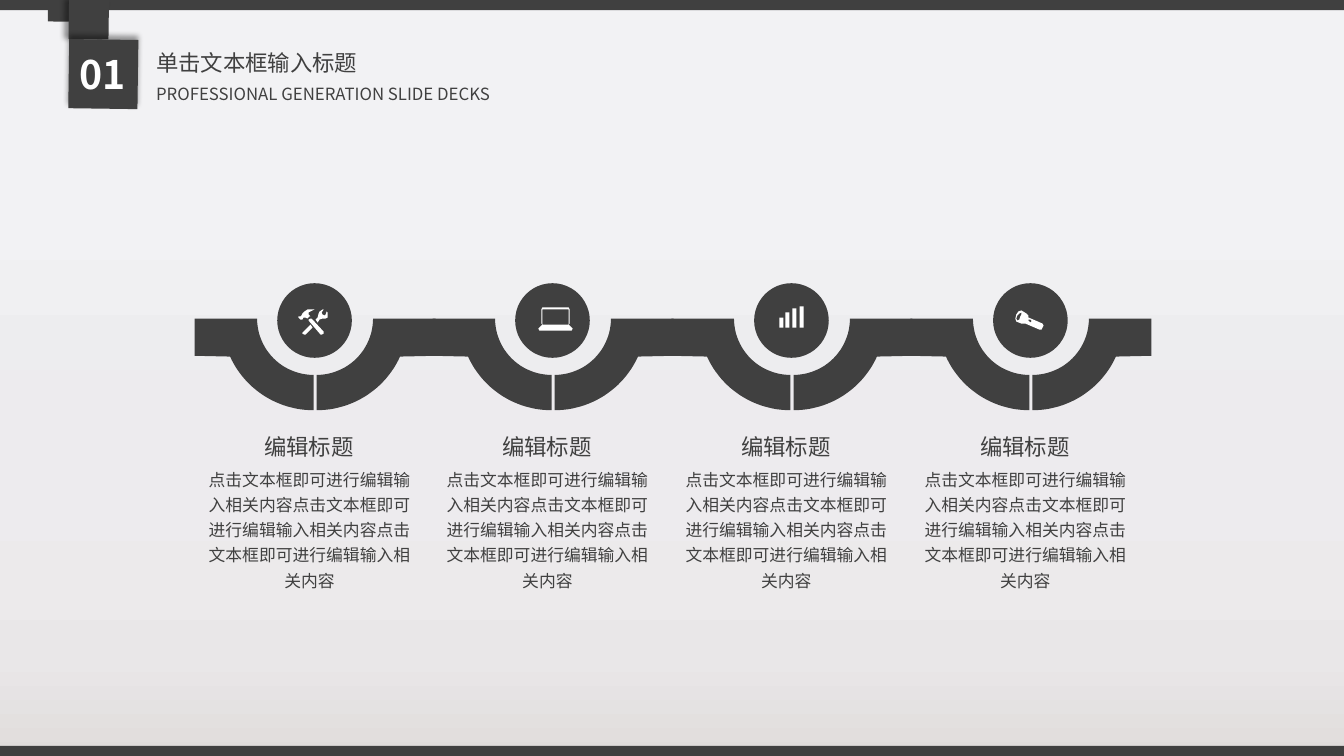
"""Builds a title header above a wavy band of four captioned icon stops."""
from math import cos, pi, sin

from lxml.etree import SubElement
from pptx import Presentation
from pptx.dml.color import RGBColor
from pptx.enum.shapes import MSO_SHAPE
from pptx.enum.text import MSO_AUTO_SIZE, PP_ALIGN
from pptx.oxml.ns import qn
from pptx.util import Pt

PX = 9144
FINE = 10
RECT, OVAL, GEM = MSO_SHAPE.RECTANGLE, MSO_SHAPE.OVAL, MSO_SHAPE.DIAMOND
LEFT, MID = PP_ALIGN.LEFT, PP_ALIGN.CENTER
GROW = MSO_AUTO_SIZE.SHAPE_TO_FIT_TEXT
FONT = "Noto Sans CJK SC"
HUES = {"dark": "404040", "white": "FFFFFF", "black": "000000"}
SKY = [(0, "E0DCDB"), (13, "E9E7E8"), (23, "ECEAEB"),
       (34, "EDEBEE"), (51, "EDEDEF"), (73, "F2F2F4")]
HEAD = "编辑标题"
BODY = "点击文本框即可进行编辑输入相关内容" * 3

deck = Presentation()
deck.slide_width, deck.slide_height = 1333 * PX, 750 * PX
slide = deck.slides.add_slide(deck.slide_layouts[6])
shapes = slide.shapes


def draw(kind, box, hue):
    """Add a flat preset shape, or an outline when kind is None."""
    if kind is None:
        first = box[0][0]
        pen = shapes.build_freeform(first[0] * FINE, first[1] * FINE, PX / FINE)
        for num, loop in enumerate(box):
            spots = [(x * FINE, y * FINE) for x, y in loop]
            if num:
                pen.move_to(*spots[0])
            pen.add_line_segments(spots[1:], close=True)
        shape = pen.convert_to_shape()
    else:
        shape = shapes.add_shape(kind, *[n * PX for n in box])
    shape.fill.solid()
    shape.fill.fore_color.rgb = RGBColor.from_string(HUES[hue])
    shape.line.fill.background()
    shape.shadow.inherit = False
    return shape


def write(text, box, size, align=LEFT, hue="dark", bold=False, lead=1.0, wrap=True):
    """Add a one-paragraph text box."""
    frame = shapes.add_textbox(*[n * PX for n in box]).text_frame
    frame.word_wrap = wrap
    frame.auto_size = GROW
    par = frame.paragraphs[0]
    par.text = text
    par.alignment = align
    par.line_spacing = lead
    font = par.font
    font.size, font.bold, font.name = Pt(size), bold, FONT
    font.color.rgb = RGBColor.from_string(HUES[hue])
    for props in par._p.iter(qn("a:defRPr")):
        SubElement(props, qn("a:ea"), typeface=FONT)


sky = slide.background.fill
sky.gradient()
sky.gradient_angle = 90
stops = next(slide.element.iter(qn("a:gsLst")))
for old in list(stops):
    stops.remove(old)
for pos, tint in SKY:
    stop = SubElement(stops, qn("a:gs"), pos=str(pos * 1000))
    SubElement(stop, qn("a:srgbClr"), val=tint)

for top in (0, 740):
    draw(RECT, (0, top, 1333, 10), "dark")

for left, top, side, turn, cast in [(43, -5, 31, 45.8, None),
                                    (60, -9, 56, 135.8, 180),
                                    (54, 25, 97, 315.8, 270)]:
    gem = draw(GEM, (left, top, side, side), "dark")
    gem.rotation = turn
    if cast:
        glow = SubElement(gem._element.spPr.find(qn("a:effectLst")), qn("a:outerShdw"),
                          blurRad=str(Pt(4)), dist=str(Pt(3)),
                          dir=str(cast * 60000), rotWithShape="0")
        tone = SubElement(glow, qn("a:srgbClr"), val=HUES["black"])
        SubElement(tone, qn("a:alpha"), val="40000")

write("01", (66, 45, 72, 57), 28, MID, "white", True)
write("单击文本框输入标题", (145, 31, 222, 46), 16, lead=1.5, wrap=False)
write("PROFESSIONAL GENERATION SLIDE DECKS", (145, 78, 464, 30), 12)

tools = [
    [(300, 330), (300, 331), (302, 332), (303, 332), (310, 325), (308, 322)],
    [(325, 310), (324, 309), (323, 312), (322, 313), (320, 312), (319, 310),
     (321, 307), (320, 307), (317, 309), (316, 311), (315, 315), (313, 317),
     (315, 320), (317, 317), (320, 316), (323, 316), (325, 315)],
    [(309, 316), (308, 316), (306, 317), (306, 318), (318, 332), (319, 332),
     (321, 331), (321, 329)],
    [(301, 315), (303, 315), (305, 316), (307, 314), (308, 314), (306, 312),
     (306, 310), (312, 307), (308, 307), (305, 307), (302, 309), (300, 311),
     (299, 313), (298, 314), (296, 314), (296, 315), (298, 317), (300, 317)]]
laptop = [
    [(564, 322), (538, 322), (538, 307), (564, 307)],
    [(534, 326), (535, 328), (537, 328), (565, 328), (567, 328), (568, 326),
     (564, 322), (565, 321), (565, 307), (564, 305), (538, 305), (537, 307),
     (537, 321), (538, 322)]]
bars = [[(x, 325), (x, top), (x + 4, top), (x + 4, 325)]
        for x, top in [(773, 315), (779, 310), (786, 306), (793, 304)]]
torch = [
    [(1012, 314), (1013, 312), (1013, 310), (1011, 311), (1009, 313),
     (1008, 316), (1009, 318), (1011, 317)],
    [(1023, 319), (1023, 318), (1022, 317), (1020, 317), (1020, 318),
     (1021, 319), (1022, 320)],
    [(1008, 312), (1010, 309), (1013, 308), (1018, 311), (1020, 313),
     (1020, 315), (1034, 321), (1035, 323), (1034, 325), (1033, 327),
     (1031, 327), (1017, 321), (1013, 321), (1008, 319), (1007, 316)]]

inner = [(56 * sin(a * pi / 48), 56 * cos(a * pi / 48)) for a in range(25)]
outer = [(91 * sin(a * pi / 66), 91 * cos(a * pi / 66)) for a in range(25)]
half = inner + [(118, 0), (118, 37)] + outer[::-1]

for num, icon in enumerate([tools, laptop, bars, torch]):
    step = 710 * num // 3
    for edge, side in [(311, -1), (314, 1)]:
        draw(None, [[(edge + step + side * x, 316 + y) for x, y in half]], "dark")
    draw(OVAL, (275 + step, 281, 74, 74), "dark")
    draw(None, icon, "white")
    write(BODY, (192 + step, 456, 230, 136), 12, MID, lead=1.25)
    write(HEAD, (236 + step, 425, 141, 37), 16, MID)

deck.save("out.pptx")
